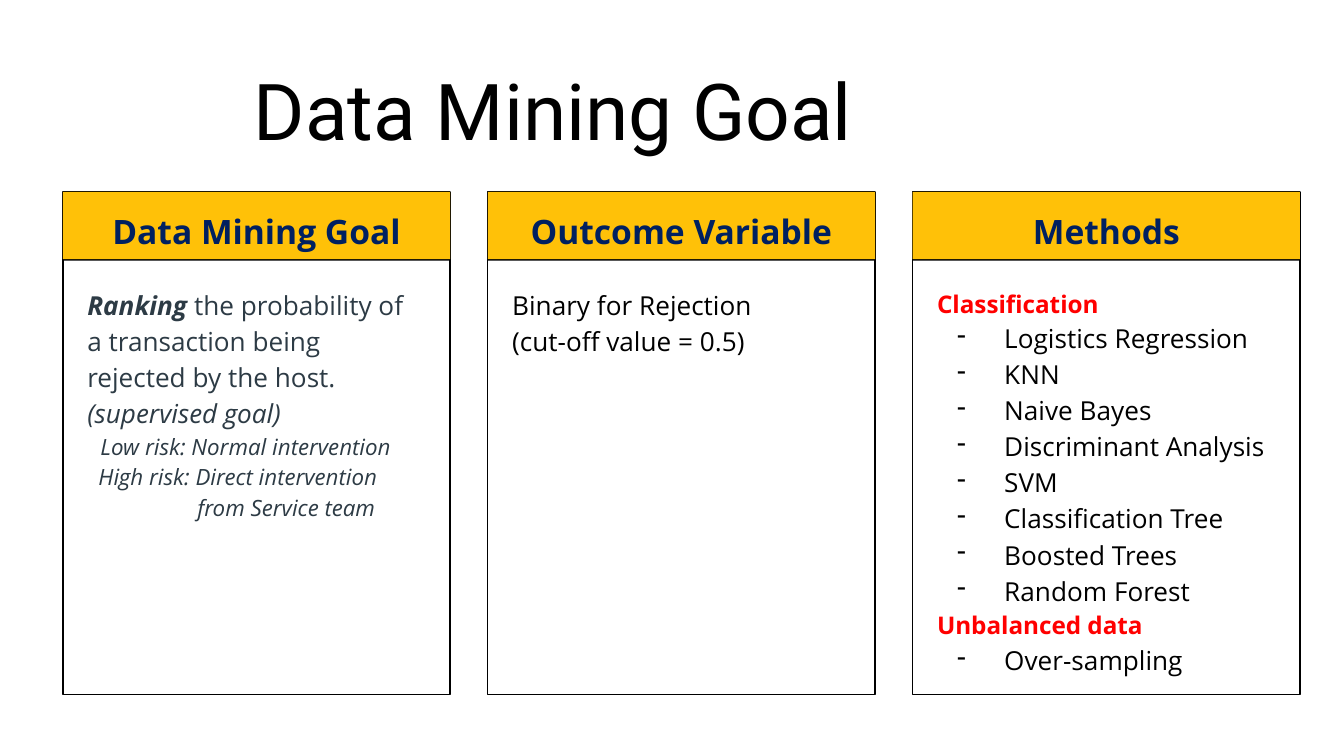
from pptx import Presentation
from pptx.dml.color import RGBColor
from pptx.enum.shapes import MSO_SHAPE
from pptx.enum.text import MSO_ANCHOR, PP_ALIGN
from pptx.util import Cm, Pt
from lxml import etree

RECT = MSO_SHAPE.RECTANGLE
TOP, BOTTOM = MSO_ANCHOR.TOP, MSO_ANCHOR.BOTTOM
CENTER = PP_ALIGN.CENTER

BLACK = RGBColor(0x00, 0x00, 0x00)
GOLD = RGBColor(0xFF, 0xC1, 0x08)
NAVY = RGBColor(0x00, 0x20, 0x60)
SLATE = RGBColor(0x2D, 0x3B, 0x45)
RED = RGBColor(0xFF, 0x00, 0x00)

# Card grid, in cm
LEFT, STEP, CARD_TOP = 1.19, 8.03, 3.63
WIDTH, HEIGHT, HEAD = 7.32, 9.5, 1.27

METHODS = {
    "Classification": [
        "Logistics Regression", "KNN", "Naive Bayes", "Discriminant Analysis",
        "SVM", "Classification Tree", "Boosted Trees", "Random Forest",
    ],
    "Unbalanced data": ["Over-sampling"],
}


def set_frame(shape, anchor=TOP):
    frame = shape.text_frame
    frame.word_wrap = True
    frame.vertical_anchor = anchor
    frame.margin_left = frame.margin_right = Cm(0.25)
    frame.margin_top = frame.margin_bottom = Cm(0.25)
    return frame


def add_box(slide, x, y, w, h, anchor=TOP):
    return set_frame(slide.shapes.add_textbox(Cm(x), Cm(y), Cm(w), Cm(h)), anchor)


def add_rect(slide, x, y, w, h, fill=None, line=None):
    shape = slide.shapes.add_shape(RECT, Cm(x), Cm(y), Cm(w), Cm(h))
    shape.shadow.inherit = False
    if fill is None:
        shape.fill.background()
    else:
        shape.fill.solid()
        shape.fill.fore_color.rgb = fill
    if line is None:
        shape.line.fill.background()
    else:
        shape.line.color.rgb = line
        shape.line.width = Pt(0.75)
    return shape


def add_para(frame, align=None, space=1.15, indent=0, hang=0, bullet=None):
    first = frame.paragraphs[0]
    para = frame.add_paragraph() if first.runs else first
    para.alignment = align
    para.line_spacing = space
    props = para._p.get_or_add_pPr()
    props.set("marL", str(Cm(indent)))
    props.set("indent", str(Cm(-hang)))
    if bullet:
        tag = props.tag.replace("pPr", "buChar")
        etree.SubElement(props, tag).set("char", bullet)
    return para


def write(para, text, size=14, color=BLACK, bold=False, italic=False, name="Open Sans"):
    run = para.add_run()
    run.text = text
    font = run.font
    font.size, font.name = Pt(size), name
    font.bold, font.italic = bold, italic
    font.color.rgb = color


def add_card(slide, index, title):
    """Draw a card with its header and return the frame of its body."""
    x = LEFT + index * STEP
    # A dark strip shows as a thin rule under the header
    add_rect(slide, x, CARD_TOP, WIDTH, HEAD + 0.03, fill=BLACK)
    add_rect(slide, x, CARD_TOP, WIDTH, HEIGHT, line=BLACK)
    head = set_frame(add_rect(slide, x, CARD_TOP, WIDTH, HEAD, fill=GOLD))
    write(add_para(head, align=CENTER), title, size=18, color=NAVY, bold=True)
    return add_box(slide, x + 0.21, CARD_TOP + 1.5, 6.88, 7.77)


def fill_goal(frame):
    para = add_para(frame)
    write(para, "Ranking", color=SLATE, bold=True, italic=True)
    write(para, " the probability of a transaction being rejected by the host. ",
          color=SLATE)
    write(para, "(supervised goal)", color=SLATE, italic=True)
    risks = [
        ("Low risk: Normal intervention", 0.25),
        ("High risk: Direct intervention", 0.21),
        ("from Service team", 2.08),
    ]
    for text, indent in risks:
        write(add_para(frame, indent=indent), text, size=12, color=SLATE, italic=True)


def fill_outcome(frame):
    for text in ("Binary for Rejection", "(cut-off value = 0.5)"):
        write(add_para(frame), text)


def fill_methods(frame):
    for group, items in METHODS.items():
        write(add_para(frame), group, size=13, color=RED, bold=True)
        for item in items:
            write(add_para(frame, indent=1.27, hang=0.89, bullet="-"), item)


def main():
    deck = Presentation()
    deck.slide_width, deck.slide_height = Cm(25.4), Cm(14.29)
    slide = deck.slides.add_slide(deck.slide_layouts[6])

    # Title
    title = add_box(slide, 4.55, 0.89, 19.99, 2.31, anchor=BOTTOM)
    write(add_para(title, space=1.0), "Data Mining Goal", size=42, name="Roboto")

    # Cards
    cards = [
        ("Data Mining Goal", fill_goal),
        ("Outcome Variable", fill_outcome),
        ("Methods", fill_methods),
    ]
    for index, (name, fill) in enumerate(cards):
        fill(add_card(slide, index, name))

    deck.save("out.pptx")


if __name__ == "__main__":
    main()
